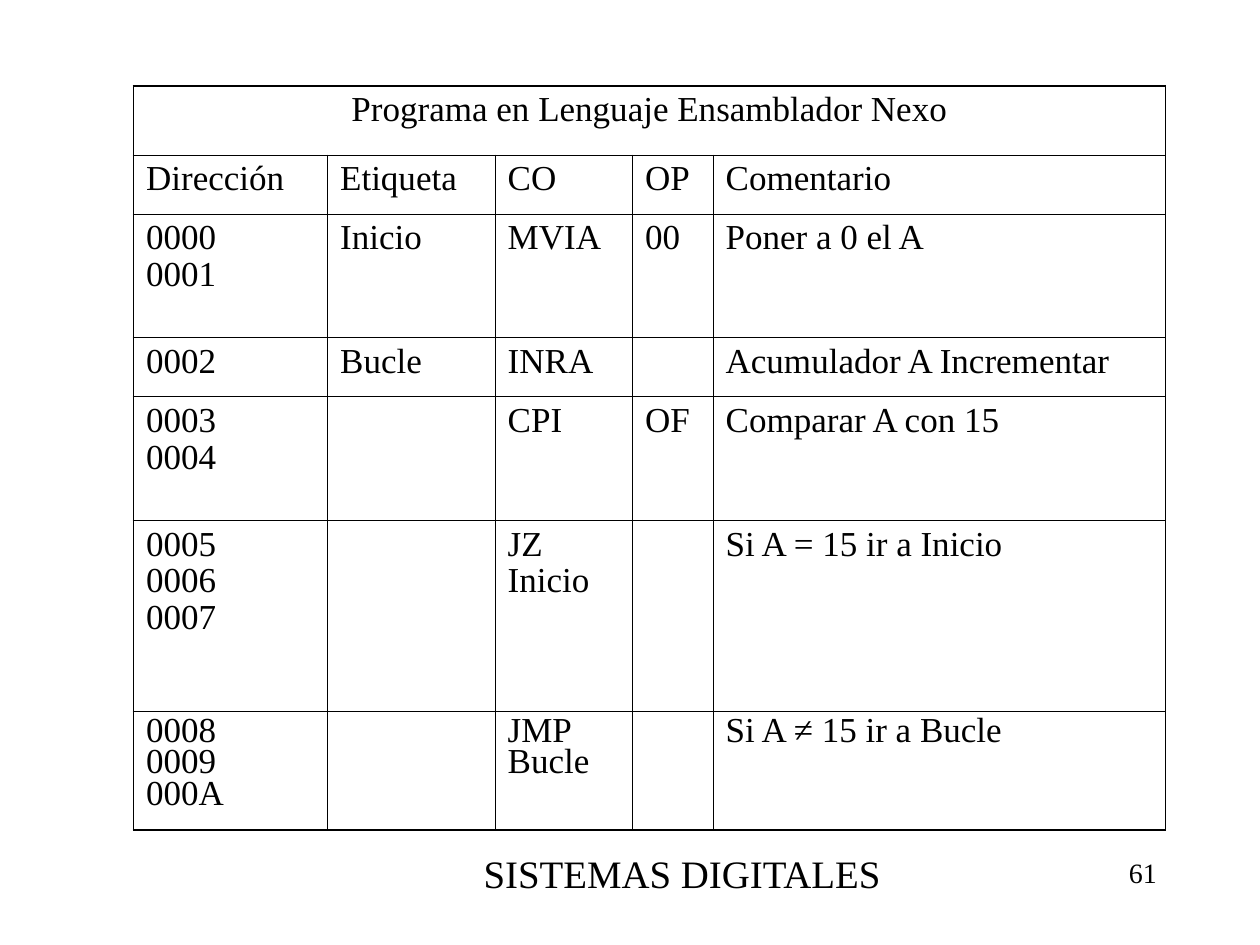
import dataclasses

import lxml.etree
import pptx
import pptx.dml.color
import pptx.enum.text
import pptx.oxml.ns
import pptx.util


@dataclasses.dataclass(frozen=True)
class Theme:
    font: str = "Times New Roman"
    ink: str = "000000"
    table_size: float = 20
    footer_size: float = 22.2
    number_size: float = 16
    inner_line: float = 0.45
    outer_line: float = 1.08


@dataclasses.dataclass(frozen=True)
class Box:
    left: float
    top: float
    width: float
    height: float

    def emu(self):
        return [pptx.util.Inches(value) for value in dataclasses.astuple(self)]


THEME = Theme()
ALIGN = pptx.enum.text.PP_ALIGN
TABLE_BOX = Box(1.06, 0.68, 8.19, 5.91)
FOOTER_BOX = Box(3.74, 6.74, 3.62, 0.47)
NUMBER_BOX = Box(8.54, 6.74, 0.74, 0.47)
COLUMN_SHARES = (1.54, 1.33, 1.09, 0.64, 3.59)
ROW_SHARES = (0.55, 0.47, 0.98, 0.47, 0.98, 1.52, 0.94)
PROGRAM = (
    ("Programa en Lenguaje Ensamblador Nexo", "", "", "", ""),
    ("Dirección", "Etiqueta", "CO", "OP", "Comentario"),
    ("0000\n0001", "Inicio", "MVIA", "00", "Poner a 0 el A"),
    ("0002", "Bucle", "INRA", "", "Acumulador A Incrementar"),
    ("0003\n0004", "", "CPI", "OF", "Comparar A con 15"),
    ("0005\n0006\n0007", "", "JZ\nInicio", "", "Si A = 15 ir a Inicio"),
    ("0008\n0009\n000A", "", "JMP\nBucle", "", "Si A ≠ 15 ir a Bucle"),
)


def write_text(frame, text, size, align=ALIGN.LEFT, spacing=1.0):
    frame.word_wrap = True
    for index, line in enumerate(text.split("\n")):
        para = frame.paragraphs[0] if index == 0 else frame.add_paragraph()
        para.alignment = align
        para.line_spacing = spacing
        span = para.add_run()
        span.text = line
        span.font.name = THEME.font
        span.font.size = pptx.util.Pt(size)
        span.font.color.rgb = pptx.dml.color.RGBColor.from_string(THEME.ink)


def draw_borders(cell, outer_edges):
    properties = cell._tc.get_or_add_tcPr()
    for edge in "LRTB":
        points = THEME.outer_line if edge in outer_edges else THEME.inner_line
        line = lxml.etree.SubElement(
            properties, pptx.oxml.ns.qn(f"a:ln{edge}"), w=str(pptx.util.Pt(points))
        )
        fill = lxml.etree.SubElement(line, pptx.oxml.ns.qn("a:solidFill"))
        lxml.etree.SubElement(fill, pptx.oxml.ns.qn("a:srgbClr"), val=THEME.ink)


def share_length(parts, shares, total):
    for part, share in zip(parts, shares):
        length = pptx.util.Inches(total * share / sum(shares))
        if hasattr(part, "width"):
            part.width = length
        else:
            part.height = length


def add_program_table(page, box):
    last_row, last_column = len(ROW_SHARES) - 1, len(COLUMN_SHARES) - 1
    table = page.shapes.add_table(last_row + 1, last_column + 1, *box.emu()).table
    table.first_row = False
    table.horz_banding = False
    share_length(table.columns, COLUMN_SHARES, box.width)
    share_length(table.rows, ROW_SHARES, box.height)
    table.cell(0, 0).merge(table.cell(0, last_column))

    for row, texts in enumerate(PROGRAM):
        for column, text in enumerate(texts):
            cell = table.cell(row, column)
            at_edge = {
                "L": column == 0 or row == 0,
                "R": column == last_column or row == 0,
                "T": row == 0,
                "B": row == last_row,
            }
            draw_borders(cell, [edge for edge, outer in at_edge.items() if outer])
            cell.fill.background()
            if text:
                write_text(
                    cell.text_frame,
                    text,
                    THEME.table_size,
                    ALIGN.CENTER if row == 0 else ALIGN.LEFT,
                    0.8 if row == last_row else 0.95,
                )


def add_label(page, box, text, size, align=ALIGN.LEFT, spacing=1.0):
    label = page.shapes.add_textbox(*box.emu())
    write_text(label.text_frame, text, size, align, spacing)


def main():
    deck = pptx.Presentation()
    deck.slide_width = pptx.util.Inches(10)
    deck.slide_height = pptx.util.Inches(7.5)
    page = deck.slides.add_slide(deck.slide_layouts[6])
    add_label(page, FOOTER_BOX, "SISTEMAS DIGITALES", THEME.footer_size, spacing=0.9)
    add_label(page, NUMBER_BOX, "61", THEME.number_size, ALIGN.RIGHT)
    add_program_table(page, TABLE_BOX)
    deck.save("out.pptx")


if __name__ == "__main__":
    main()
